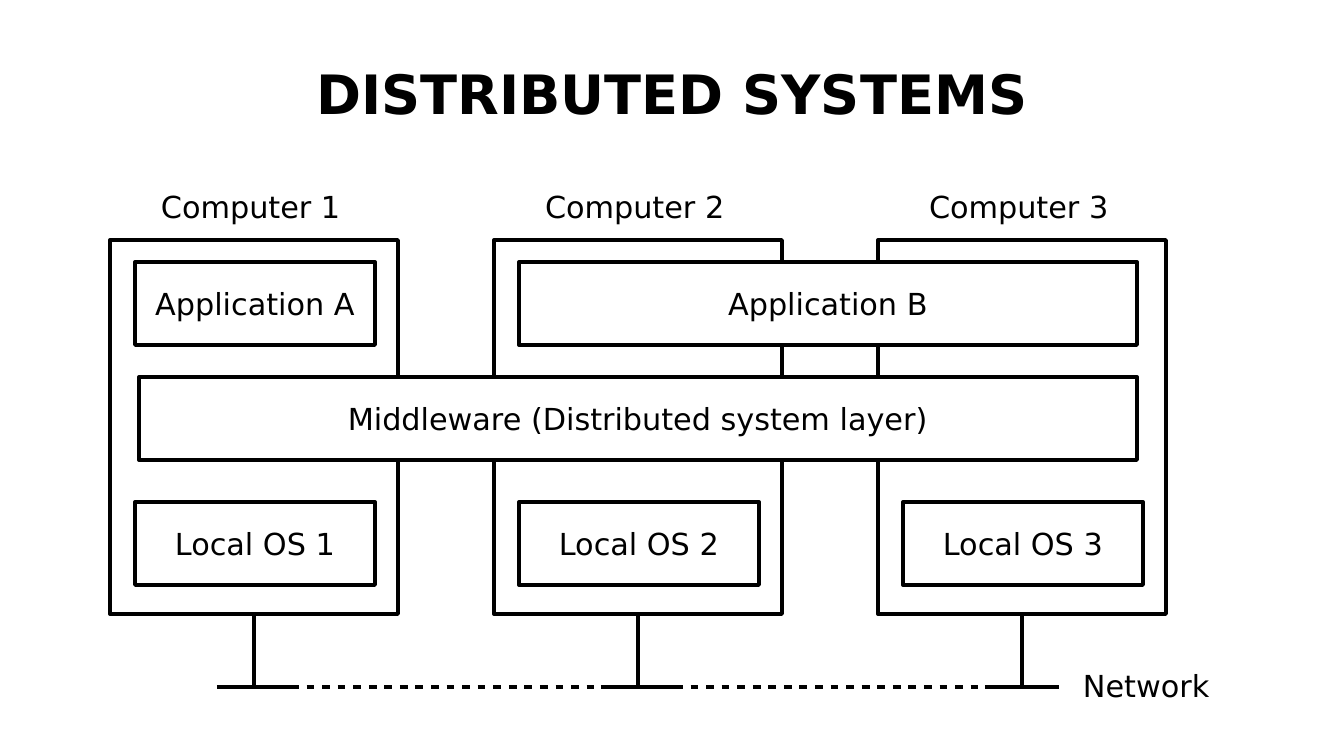
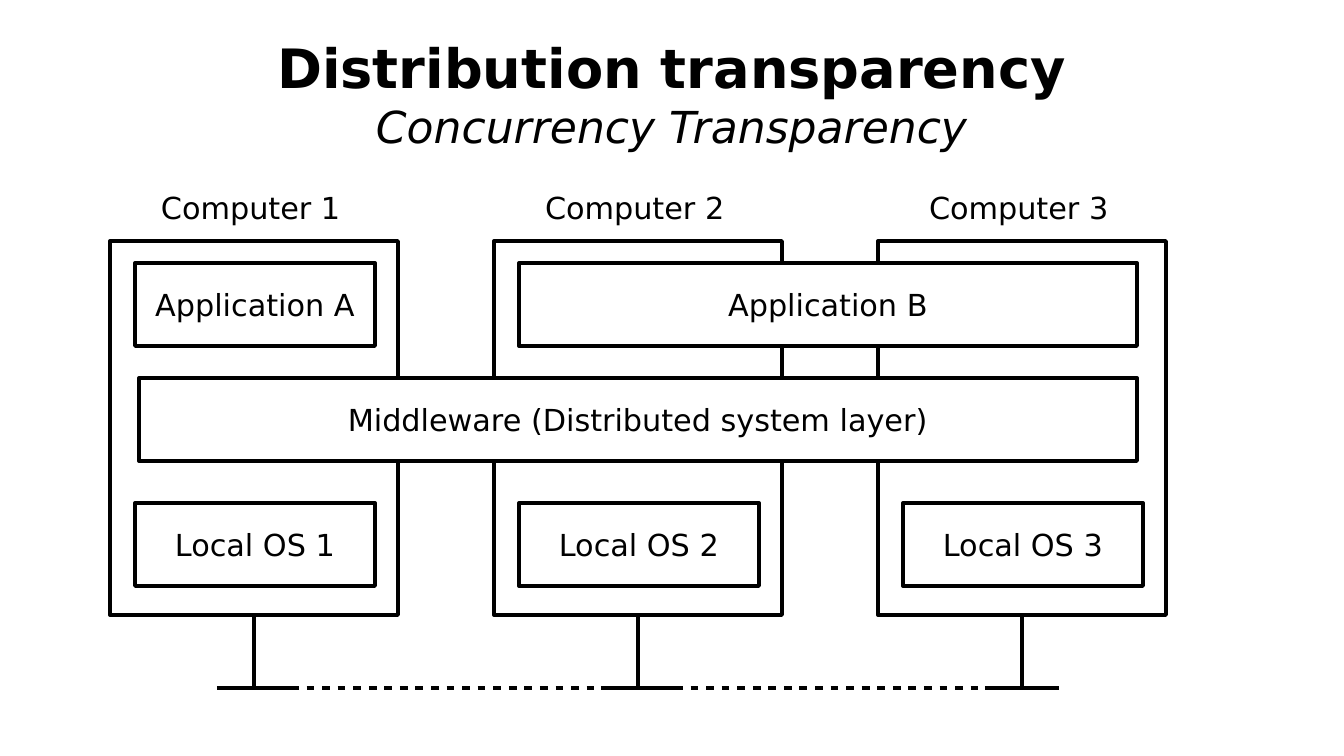
from lxml import etree
from pptx import Presentation
from pptx import util as u
from pptx.dml.color import RGBColor
from pptx.enum import shapes, text
from pptx.oxml import ns

PX = 914400 / 122
FONT = "DejaVu Sans"
BLACK, WHITE = "000000", "FFFFFF"
LABEL_SIZE, LINE_WIDTH = 17.9, 2.3

SLIDES = [
    {"title": [("DISTRIBUTED SYSTEMS", 32, True, False)],
     "title_box": (67, 30, 1210, 126), "shift": 0, "network": "Network"},
    {"title": [("Distribution transparency", 32, True, False),
               ("Concurrency Transparency", 26, False, True)],
     "title_box": (67, 26, 1210, 134), "shift": 1, "network": None},
]
COMPUTERS = [("Computer 1", "Local OS 1"),
             ("Computer 2", "Local OS 2"),
             ("Computer 3", "Local OS 3")]
LAYERS = [("Application A", (135, 262, 240, 83)),
          ("Application B", (519, 262, 618, 83)),
          ("Middleware (Distributed system layer)", (139, 377, 998, 83))]

LEFT, PITCH = 110, 384
FRAME_TOP, FRAME_WIDTH, FRAME_HEIGHT = 240, 288, 374
OS_TOP, OS_WIDTH, OS_HEIGHT = 502, 240, 83
LABEL_TOP, LABEL_WIDTH, LABEL_HEIGHT = 182, 211, 93
NETWORK_Y, TAP_HALF = 687, 37
NETWORK_BOX = (1071, 661, 163, 93)


def px(value):
    return u.Emu(round(value * PX))


def color(value):
    return RGBColor.from_string(value)


def add_run(paragraph, words, size=LABEL_SIZE, bold=False, italic=False):
    run = paragraph.add_run()
    run.text = words
    font = run.font
    font.name, font.size = FONT, u.Pt(size)
    font.bold, font.italic = bold, italic
    font.color.rgb = color(BLACK)


def set_margins(frame, horizontal, vertical):
    frame.margin_left = frame.margin_right = px(horizontal)
    frame.margin_top = frame.margin_bottom = px(vertical)


def set_title(slide, lines, box):
    title = slide.shapes.title
    title.left, title.top, title.width, title.height = map(px, box)
    frame = title.text_frame
    frame.auto_size = text.MSO_AUTO_SIZE.NONE
    frame.vertical_anchor = text.MSO_ANCHOR.MIDDLE
    set_margins(frame, 0, 0)
    paragraph = frame.paragraphs[0]
    paragraph.alignment = text.PP_ALIGN.CENTER
    for index, line in enumerate(lines):
        if index:
            paragraph.add_line_break()
            line_break = paragraph._p.findall(ns.qn("a:br"))[-1]
            etree.SubElement(line_break, ns.qn("a:rPr"), sz=str(lines[index - 1][1] * 100))
        add_run(paragraph, *line)


def add_box(slide, box, words=None, fill=None):
    shape = slide.shapes.add_shape(shapes.MSO_SHAPE.RECTANGLE, *map(px, box))
    shape.shadow.inherit = False
    if fill:
        shape.fill.solid()
        shape.fill.fore_color.rgb = color(fill)
    else:
        shape.fill.background()
    shape.line.color.rgb = color(BLACK)
    shape.line.width = u.Pt(LINE_WIDTH)
    if words:
        frame = shape.text_frame
        frame.word_wrap = False
        frame.vertical_anchor = text.MSO_ANCHOR.MIDDLE
        set_margins(frame, 13, 7)
        paragraph = frame.paragraphs[0]
        paragraph.alignment = text.PP_ALIGN.CENTER
        add_run(paragraph, words)


def add_line(slide, start, end, dashed=False):
    line = slide.shapes.add_connector(shapes.MSO_CONNECTOR.STRAIGHT, *map(px, start + end))
    line.line.color.rgb = color(BLACK)
    line.line.width = u.Pt(LINE_WIDTH)
    properties = line._element.spPr
    if dashed:
        dash = etree.SubElement(properties.find(ns.qn("a:ln")), ns.qn("a:custDash"))
        etree.SubElement(dash, ns.qn("a:ds"), d="200000", sp="200000")
    etree.SubElement(properties, ns.qn("a:effectLst"))


def add_label(slide, box, words):
    label = slide.shapes.add_textbox(*map(px, box))
    frame = label.text_frame
    frame.word_wrap = True
    set_margins(frame, 12, 6)
    add_run(frame.paragraphs[0], words)


def add_diagram(slide, shift, network):
    lefts = [LEFT + PITCH * index for index in range(len(COMPUTERS))]
    centers = [left + FRAME_WIDTH // 2 for left in lefts]
    network_y = NETWORK_Y + shift

    for left in lefts:
        add_box(slide, (left, FRAME_TOP + shift, FRAME_WIDTH, FRAME_HEIGHT))
    for words, (left, top, width, height) in LAYERS:
        add_box(slide, (left, top + shift, width, height), words, WHITE)
    for center, (name, system) in zip(centers, COMPUTERS):
        add_box(slide, (center + 1 - OS_WIDTH // 2, OS_TOP + shift, OS_WIDTH, OS_HEIGHT), system)
        add_label(slide, (center - LABEL_WIDTH // 2, LABEL_TOP + shift,
                          LABEL_WIDTH, LABEL_HEIGHT), name)
        add_line(slide, (center, FRAME_TOP + FRAME_HEIGHT + shift), (center, network_y))
        add_line(slide, (center - TAP_HALF, network_y), (center + TAP_HALF, network_y))
    for center, following in zip(centers, centers[1:]):
        add_line(slide, (center + TAP_HALF, network_y),
                 (following - TAP_HALF, network_y), dashed=True)
    if network:
        add_label(slide, NETWORK_BOX, network)


def main():
    presentation = Presentation()
    presentation.slide_width, presentation.slide_height = px(1344), px(756)
    for content in SLIDES:
        slide = presentation.slides.add_slide(presentation.slide_layouts[5])
        set_title(slide, content["title"], content["title_box"])
        add_diagram(slide, content["shift"], content["network"])
    presentation.save("out.pptx")


if __name__ == "__main__":
    main()
